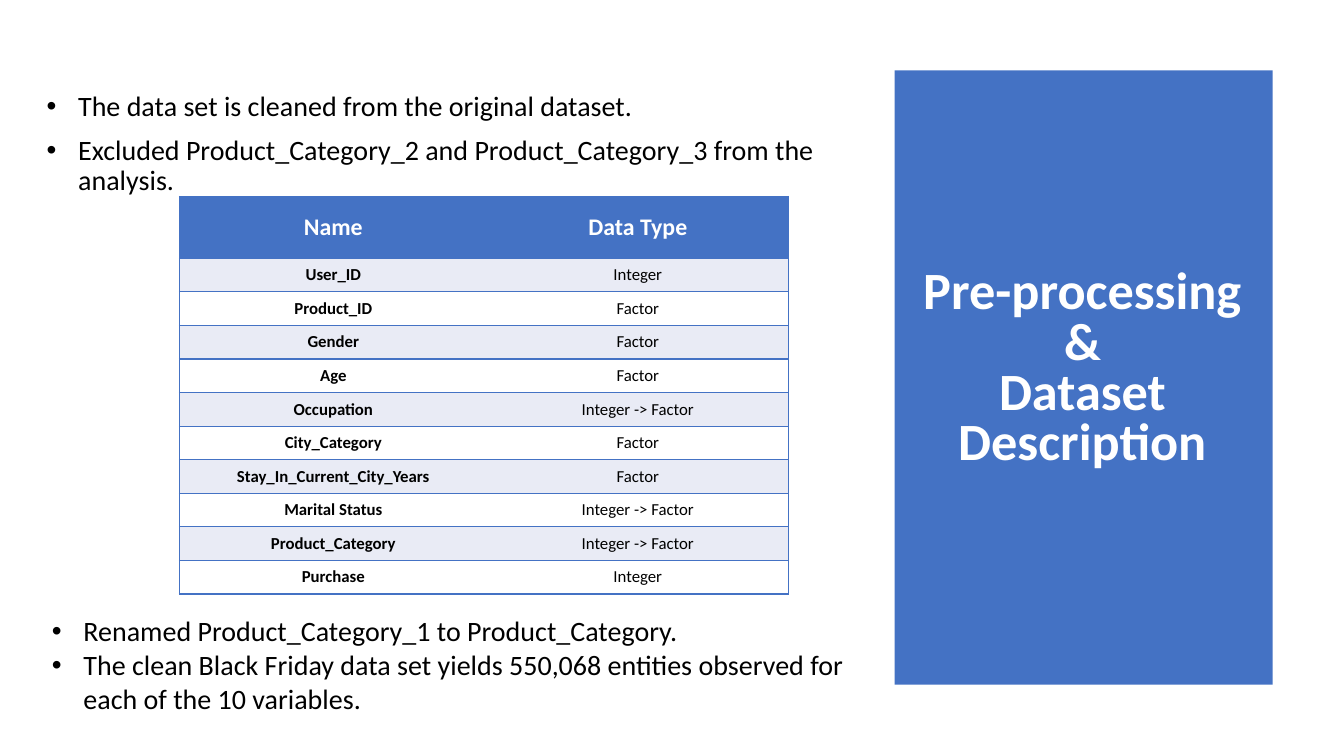
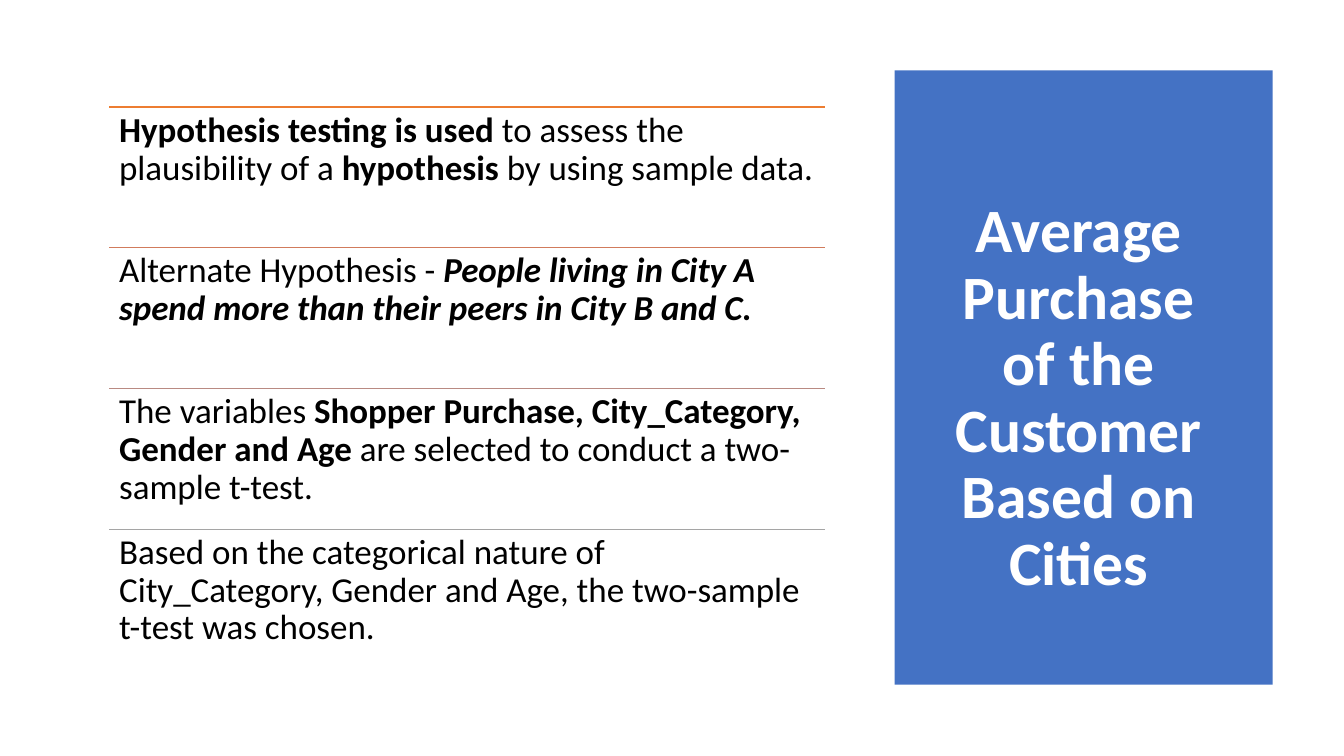
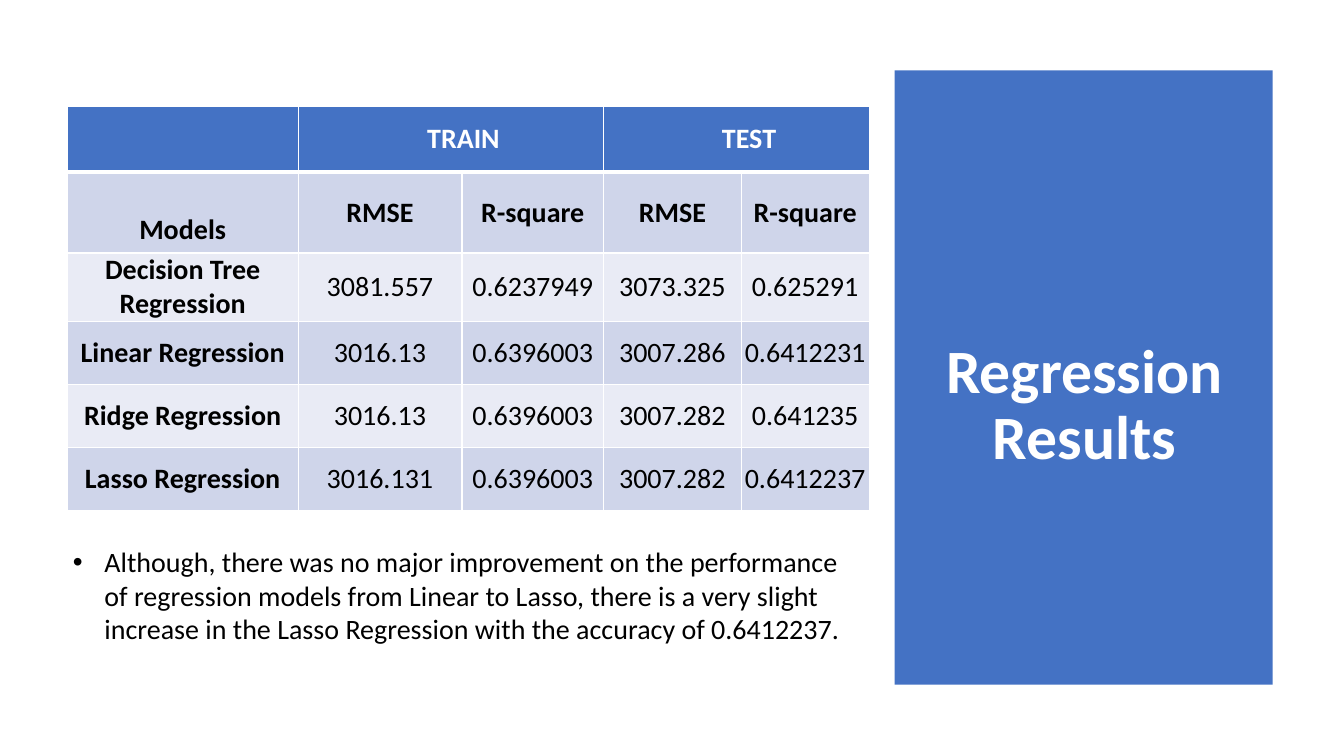
from dataclasses import dataclass

from lxml.etree import SubElement
from pptx import Presentation
from pptx.dml.color import RGBColor
from pptx.enum.shapes import MSO_CONNECTOR, MSO_SHAPE
from pptx.enum.text import MSO_ANCHOR, PP_ALIGN
from pptx.oxml.ns import qn
from pptx.util import Pt


@dataclass(frozen=True)
class Theme:
    font: str = "Calibri"
    accent: str = "4472C4"
    white: str = "FFFFFF"
    black: str = "000000"
    band_light: str = "E9EBF5"
    band_dark: str = "CFD5EA"
    rules: tuple = ("ED7D31", "D17B5C", "B98A82", "A5A5A5")
    title: float = 44
    title_small: float = 37.4
    statement: float = 25
    body: float = 20
    table_head: float = 17
    table_body: float = 12


THEME = Theme()
PANEL = (852, 67, 360, 585)
BULLET_INDENT = 30


def px(length):
    return length * 9525


def rgb(colour):
    return RGBColor.from_string(colour)


# Text
def format_runs(paragraph, size, colour, bold=None):
    for run in paragraph.runs:
        run.font.name = THEME.font
        run.font.size = Pt(size)
        run.font.color.rgb = rgb(colour)
        if bold is not None:
            run.font.bold = bold


def add_text(slide, box, anchor=MSO_ANCHOR.TOP):
    frame = slide.shapes.add_textbox(*map(px, box)).text_frame
    frame.word_wrap = True
    frame.vertical_anchor = anchor
    return frame


def add_bullets(slide, box, lines, line_spacing=1.0, space_before=0):
    frame = add_text(slide, box)
    frame.text = "\n".join(lines)
    for paragraph in frame.paragraphs:
        paragraph.line_spacing = line_spacing
        paragraph.space_before = Pt(space_before)
        format_runs(paragraph, THEME.body, THEME.black)
        properties = paragraph._p.get_or_add_pPr()
        properties.set("marL", str(px(BULLET_INDENT)))
        properties.set("indent", str(px(-BULLET_INDENT)))
        SubElement(properties, qn("a:buFont"), typeface="Arial")
        SubElement(properties, qn("a:buChar"), char="•")


def add_statement(slide, box, parts):
    """Each part is a text with its style: b for bold, i for italic."""
    paragraph = add_text(slide, box).paragraphs[0]
    paragraph.line_spacing = 0.9
    for words, style in parts:
        run = paragraph.add_run()
        run.text = words
        run.font.bold = "b" in style
        run.font.italic = "i" in style
    format_runs(paragraph, THEME.statement, THEME.black)


# Title panel shared by all slides
def add_titled_slide(deck, title, box, size=THEME.title, line_spacing=0.9):
    slide = deck.slides.add_slide(deck.slide_layouts[6])
    panel = slide.shapes.add_shape(MSO_SHAPE.RECTANGLE, *map(px, PANEL))
    panel.shadow.inherit = False
    panel.fill.solid()
    panel.fill.fore_color.rgb = rgb(THEME.accent)
    panel.line.fill.background()
    frame = add_text(slide, box, MSO_ANCHOR.MIDDLE)
    frame.text = title
    for paragraph in frame.paragraphs:
        paragraph.alignment = PP_ALIGN.CENTER
        paragraph.line_spacing = line_spacing
        format_runs(paragraph, size, THEME.white, bold=True)
    return slide


# Lines and tables
def add_rule(slide, left, top, width, colour):
    rule = slide.shapes.add_connector(
        MSO_CONNECTOR.STRAIGHT, px(left), px(top), px(left + width), px(top))
    rule.line.color.rgb = rgb(colour)
    rule.line.width = Pt(1)
    SubElement(rule._element.spPr, qn("a:effectLst"))


def set_borders(cell, colour, widths):
    """Widths are in points for left, right, top and bottom; 0 hides an edge."""
    properties = cell._tc.get_or_add_tcPr()
    for side, width in zip("LRTB", widths):
        edge = SubElement(properties, qn(f"a:ln{side}"), w=str(Pt(width)))
        if width:
            fill = SubElement(edge, qn("a:solidFill"))
            SubElement(fill, qn("a:srgbClr"), val=colour)
        else:
            SubElement(edge, qn("a:noFill"))


def add_grid(slide, left, top, widths, heights, rows):
    grid = slide.shapes.add_table(
        len(rows), len(widths), px(left), px(top),
        px(sum(widths)), px(sum(heights))).table
    grid.first_row = grid.horz_banding = False
    for column, width in zip(grid.columns, widths):
        column.width = px(width)
    for row, height in zip(grid.rows, heights):
        row.height = px(height)
    for r, row in enumerate(rows):
        for c, words in enumerate(row):
            grid.cell(r, c).text = words
    return grid


def style_cell(cell, fill, size, colour, bold, side_margin=0):
    cell.fill.solid()
    cell.fill.fore_color.rgb = rgb(fill)
    cell.vertical_anchor = MSO_ANCHOR.MIDDLE
    cell.margin_left = cell.margin_right = px(side_margin)
    cell.margin_top = cell.margin_bottom = 0
    for paragraph in cell.text_frame.paragraphs:
        paragraph.alignment = PP_ALIGN.CENTER
        format_runs(paragraph, size, colour, bold)


# Slides
def build_dataset(deck):
    slide = add_titled_slide(
        deck, "Pre-processing\n&\nDataset Description", (866, 244, 330, 217),
        THEME.title_small, 0.8)
    add_bullets(slide, (35, 83, 820, 153), [
        "The data set is cleaned from the original dataset.",
        "Excluded Product_Category_2 and Product_Category_3 from the analysis.",
    ], line_spacing=0.9, space_before=10)
    variables = [
        ("Name", "Data Type"),
        ("User_ID", "Integer"),
        ("Product_ID", "Factor"),
        ("Gender", "Factor"),
        ("Age", "Factor"),
        ("Occupation", "Integer -> Factor"),
        ("City_Category", "Factor"),
        ("Stay_In_Current_City_Years", "Factor"),
        ("Marital Status", "Integer -> Factor"),
        ("Product_Category", "Integer -> Factor"),
        ("Purchase", "Integer"),
    ]
    grid = add_grid(slide, 171, 187, (293, 287), [59] + [32] * 10, variables)
    for r in range(len(variables)):
        for c in range(2):
            cell = grid.cell(r, c)
            set_borders(cell, THEME.accent, (1 - c, c, 1, 1))
            if r == 0:
                style_cell(cell, THEME.accent, THEME.table_head,
                           THEME.white, True, 7)
            else:
                band = THEME.band_light if r % 2 else THEME.white
                style_cell(cell, band, THEME.table_body,
                           THEME.black, c == 0, 7)
    add_bullets(slide, (40, 580, 810, 107), [
        "Renamed Product_Category_1 to Product_Category.",
        "The clean Black Friday data set yields 550,068 entities observed "
        "for each of the 10 variables.",
    ])


def build_hypothesis(deck):
    slide = add_titled_slide(
        deck, "Average Purchase of the Customer Based on Cities",
        (889, 104, 277, 552))
    statements = [
        [("Hypothesis testing is used", "b"),
         (" to assess the plausibility of a ", ""),
         ("hypothesis", "b"), (" by using sample data.", "")],
        [("Alternate Hypothesis - ", ""),
         ("People living in City A spend more than their peers "
          "in City B and C.", "bi")],
        [("The variables ", ""),
         ("Shopper Purchase, City_Category, Gender and Age", "b"),
         (" are selected to conduct a two-sample t-test.", "")],
        [("Based on the categorical nature of City_Category, Gender and Age, "
          "the two-sample t-test was chosen.", "")],
    ]
    left, first_top, width, pitch = 104, 102, 682, 134
    for i, (parts, colour) in enumerate(zip(statements, THEME.rules)):
        top = first_top + i * pitch
        add_rule(slide, left, top, width, colour)
        add_statement(slide, (left, top, width, pitch), parts)


def build_results(deck):
    slide = add_titled_slide(deck, "Regression\nResults", (877, 123, 312, 528))
    add_bullets(slide, (60, 514, 750, 139), [
        "Although, there was no major improvement on the performance "
        "of regression models from Linear to Lasso, there is "
        "a very slight increase in the Lasso Regression with the accuracy "
        "of 0.6412237.",
    ])
    results = [
        ("", "TRAIN", "", "TEST", ""),
        ("Models", "RMSE", "R-square", "RMSE", "R-square"),
        ("Decision Tree Regression",
         "3081.557", "0.6237949", "3073.325", "0.625291"),
        ("Linear Regression", "3016.13", "0.6396003", "3007.286", "0.6412231"),
        ("Ridge Regression", "3016.13", "0.6396003", "3007.282", "0.641235"),
        ("Lasso Regression", "3016.131", "0.6396003", "3007.282", "0.6412237"),
    ]
    grid = add_grid(slide, 64, 101, (220, 156, 135, 131, 122),
                    (63, 77, 65, 60, 60, 60), results)
    for r, row in enumerate(results):
        for c in range(len(row)):
            cell = grid.cell(r, c)
            set_borders(cell, THEME.white,
                        (1, 1, 3 if r == 1 else 1, 3 if r == 0 else 1))
            if r == 0:
                style_cell(cell, THEME.accent, THEME.body, THEME.white, True)
            else:
                band = THEME.band_dark if r % 2 else THEME.band_light
                style_cell(cell, band, THEME.body, THEME.black,
                           r == 1 or c == 0)
    for c in (1, 3):
        grid.cell(0, c).merge(grid.cell(0, c + 1))
        grid.cell(0, c).margin_left = px(24)
    grid.cell(1, 0).margin_top = px(33)


def main():
    deck = Presentation()
    deck.slide_width, deck.slide_height = px(1280), px(720)
    build_dataset(deck)
    build_hypothesis(deck)
    build_results(deck)
    deck.save("out.pptx")


if __name__ == "__main__":
    main()
